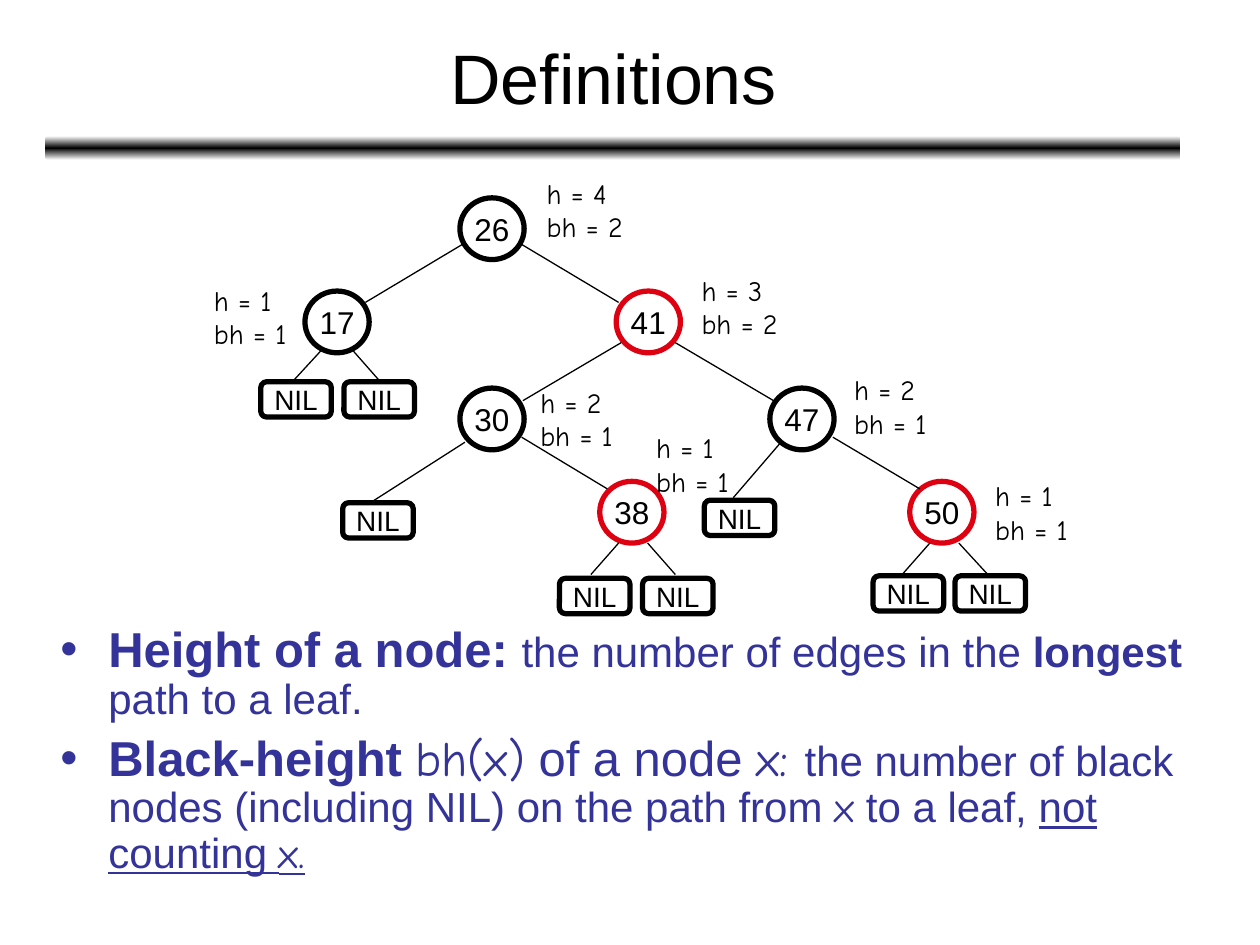
from copy import deepcopy
from dataclasses import dataclass
from typing import NamedTuple

from lxml.etree import SubElement
from pptx import Presentation
from pptx.dml.color import RGBColor
from pptx.enum.shapes import MSO_CONNECTOR, MSO_SHAPE
from pptx.enum.text import MSO_ANCHOR, MSO_AUTO_SIZE, PP_ALIGN
from pptx.oxml.ns import qn
from pptx.util import Inches, Pt

BLACK = RGBColor(0x00, 0x00, 0x00)
WHITE = RGBColor(0xFF, 0xFF, 0xFF)
RED = RGBColor(0xDD, 0x01, 0x11)
INDIGO = RGBColor(0x33, 0x33, 0x99)
SANS = "Arial"
COMIC = "Comic Neue"
NODE_SIZE = (0.51, 0.49)
LEAF_SIZE = (0.56, 0.28)


@dataclass(frozen=True)
class Node:
    key: int
    left: float
    top: float
    outline: RGBColor
    height: int
    black_height: int
    label_left: float
    label_top: float
    label_width: float = 0.77


class Leaf(NamedTuple):
    left: float
    top: float


class Edge(NamedTuple):
    x1: float
    y1: float
    x2: float
    y2: float


class Phrase(NamedTuple):
    text: str
    size: int = 24
    font: str = SANS
    bold: bool = False
    underline: bool = False


NODES = [
    Node(26, 3.65, 1.57, BLACK, 4, 2, 4.24, 1.35, 0.8),
    Node(17, 2.42, 2.31, BLACK, 1, 1, 1.6, 2.2),
    Node(41, 4.89, 2.31, RED, 3, 2, 5.47, 2.12, 0.8),
    Node(30, 3.65, 3.08, BLACK, 2, 1, 4.19, 3.01),
    Node(47, 6.11, 3.08, BLACK, 2, 1, 6.68, 2.91),
    Node(38, 4.76, 3.82, RED, 1, 1, 5.11, 3.37),
    Node(50, 7.22, 3.82, RED, 1, 1, 7.8, 3.75),
]
LEAVES = [
    Leaf(2.07, 3.03), Leaf(2.73, 3.03), Leaf(2.72, 3.99), Leaf(5.59, 3.97),
    Leaf(4.44, 4.59), Leaf(5.1, 4.59), Leaf(6.93, 4.57), Leaf(7.58, 4.57),
]
EDGES = [
    Edge(3.67, 1.94, 2.9, 2.4), Edge(4.14, 1.94, 4.91, 2.4),
    Edge(4.93, 2.72, 4.15, 3.18), Edge(5.36, 2.72, 6.14, 3.18),
    Edge(4.14, 3.47, 4.82, 3.88), Edge(6.61, 3.47, 7.3, 3.88),
    Edge(2.56, 2.77, 2.33, 3.02), Edge(2.79, 2.77, 3.01, 3.02),
    Edge(4.91, 4.31, 4.69, 4.56), Edge(5.14, 4.31, 5.36, 4.56),
    Edge(7.38, 4.31, 7.16, 4.56), Edge(7.61, 4.31, 7.84, 4.56),
    Edge(3.69, 3.51, 2.94, 3.99), Edge(6.19, 3.52, 5.82, 3.95),
]
DEFINITIONS = [
    [
        Phrase("Height of a node: ", 28, bold=True),
        Phrase("the number of edges in the "),
        Phrase("longest ", bold=True),
        Phrase("path to a leaf."),
    ],
    [
        Phrase("Black-height ", 28, bold=True),
        Phrase("bh(x)", 28, COMIC),
        Phrase(" of a node ", 28),
        Phrase("x: ", 28, COMIC),
        Phrase("the number of black nodes (including NIL) on the path from "),
        Phrase("x", font=COMIC),
        Phrase(" to a leaf, "),
        Phrase("not counting ", underline=True),
        Phrase("x.", font=COMIC, underline=True),
    ],
]


def place(shape, left: float, top: float, width: float, height: float) -> None:
    shape.left, shape.top = Inches(left), Inches(top)
    shape.width, shape.height = Inches(width), Inches(height)


def add_phrase(paragraph, phrase: Phrase, color: RGBColor) -> None:
    run = paragraph.add_run()
    run.text = phrase.text
    run.font.size = Pt(phrase.size)
    run.font.name = phrase.font
    run.font.bold = phrase.bold
    run.font.underline = phrase.underline
    run.font.color.rgb = color


def add_outlined(slide, preset, left: float, top: float, size: tuple[float, float],
                 outline: RGBColor, caption: Phrase) -> None:
    shape = slide.shapes.add_shape(preset, Inches(left), Inches(top), *map(Inches, size))
    shape.shadow.inherit = False
    shape.fill.background()
    shape.line.color.rgb = outline
    shape.line.width = Pt(3)
    frame = shape.text_frame
    frame.word_wrap = False
    frame.vertical_anchor = MSO_ANCHOR.MIDDLE
    frame.paragraphs[0].alignment = PP_ALIGN.CENTER
    add_phrase(frame.paragraphs[0], caption, BLACK)


def add_edge(slide, edge: Edge) -> None:
    line = slide.shapes.add_connector(MSO_CONNECTOR.STRAIGHT, *map(Inches, edge))
    line.line.color.rgb = BLACK
    line.line.width = Pt(0.75)
    SubElement(line._element.spPr, qn("a:effectLst"))


def add_height_label(slide, node: Node) -> None:
    label = slide.shapes.add_textbox(
        Inches(node.label_left), Inches(node.label_top),
        Inches(node.label_width), Inches(0.64))
    frame = label.text_frame
    frame.word_wrap = True
    frame.auto_size = MSO_AUTO_SIZE.NONE
    frame.margin_right = 0
    add_phrase(frame.paragraphs[0], Phrase(f"h = {node.height}", 16, COMIC), BLACK)
    add_phrase(frame.add_paragraph(), Phrase(f"bh = {node.black_height}", 16, COMIC), BLACK)


def add_title_rule(slide) -> None:
    rule = slide.shapes.add_shape(
        MSO_SHAPE.ROUNDED_RECTANGLE, Inches(0.36), Inches(1.08), Inches(9.01), Inches(0.19))
    rule.shadow.inherit = False
    rule.line.fill.background()
    rule.fill.gradient()
    rule.fill.gradient_angle = 90
    first, last = rule.fill.gradient_stops
    first.color.rgb, first.position = WHITE, 0
    last.color.rgb, last.position = BLACK, 0.5
    end = deepcopy(first._gs)
    end.set("pos", "100000")
    last._gs.addnext(end)


def fill_title(title) -> None:
    place(title, 0.37, 0.11, 9, 0.99)
    frame = title.text_frame
    frame.vertical_anchor = MSO_ANCHOR.MIDDLE
    frame.auto_size = MSO_AUTO_SIZE.NONE
    frame.paragraphs[0].alignment = PP_ALIGN.CENTER
    add_phrase(frame.paragraphs[0], Phrase("Definitions", 40), BLACK)


def fill_definitions(body) -> None:
    place(body, 0.38, 4.91, 9.34, 2.18)
    frame = body.text_frame
    frame.auto_size = MSO_AUTO_SIZE.NONE
    for index, phrases in enumerate(DEFINITIONS):
        paragraph = frame.add_paragraph() if index else frame.paragraphs[0]
        properties = paragraph._p.get_or_add_pPr()
        properties.set("marL", str(Inches(0.38)))
        properties.set("indent", str(-Inches(0.38)))
        bullet_color = SubElement(properties, qn("a:buClr"))
        SubElement(bullet_color, qn("a:srgbClr"), val=str(INDIGO))
        SubElement(properties, qn("a:buChar"), char="•")
        paragraph.line_spacing = 0.9
        paragraph.space_before = Pt(6 if index else 0)
        for phrase in phrases:
            add_phrase(paragraph, phrase, INDIGO)


def main() -> None:
    deck = Presentation()
    deck.slide_width, deck.slide_height = Inches(10), Inches(7.5)
    slide = deck.slides.add_slide(deck.slide_layouts[1])
    add_title_rule(slide)
    fill_title(slide.shapes.title)
    fill_definitions(slide.placeholders[1])
    for node in NODES:
        add_outlined(slide, MSO_SHAPE.OVAL, node.left, node.top, NODE_SIZE,
                     node.outline, Phrase(str(node.key), 18))
    for leaf in LEAVES:
        add_outlined(slide, MSO_SHAPE.ROUNDED_RECTANGLE, leaf.left, leaf.top, LEAF_SIZE,
                     BLACK, Phrase("NIL", 16))
    for edge in EDGES:
        add_edge(slide, edge)
    for node in NODES:
        add_height_label(slide, node)
    deck.save("out.pptx")


if __name__ == "__main__":
    main()
